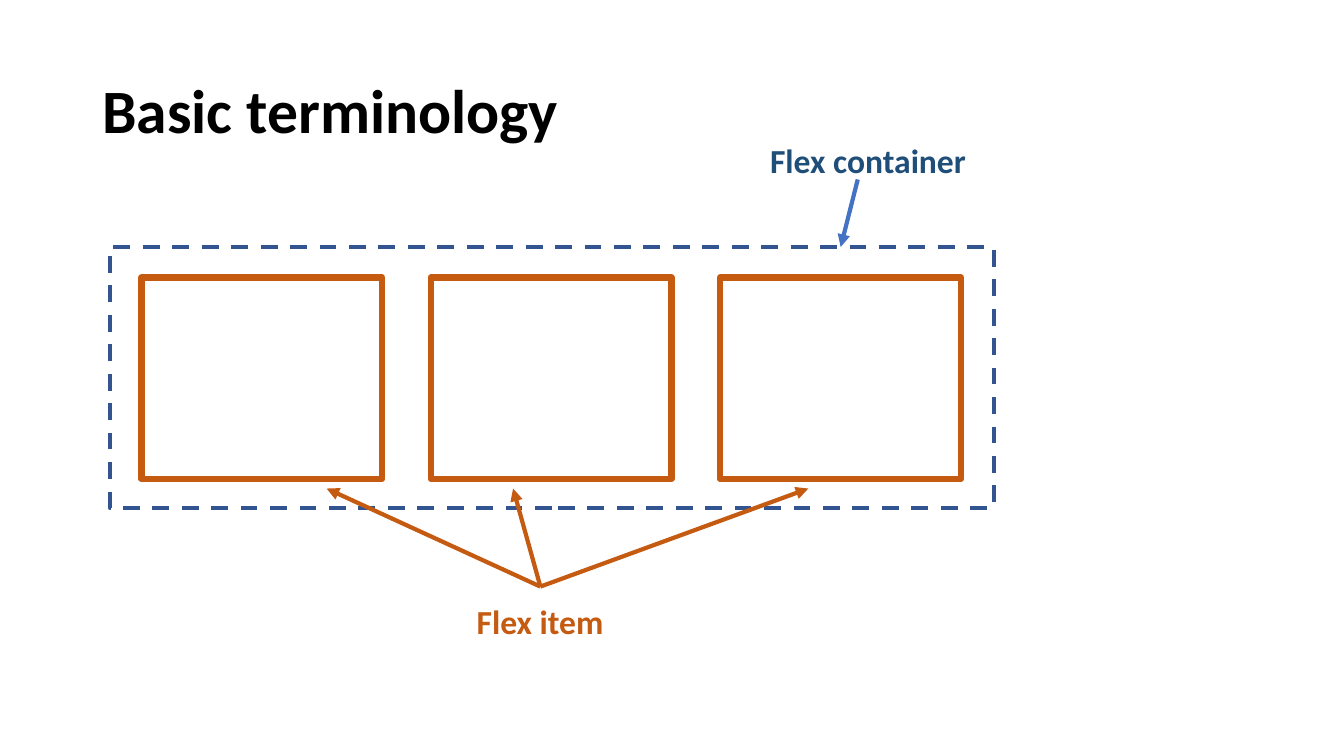
import dataclasses
from typing import Any, Optional

import lxml.etree
import pptx
import pptx.dml.color
import pptx.enum.dml
import pptx.enum.shapes
import pptx.enum.text
import pptx.oxml.ns
import pptx.util

Pt = pptx.util.Pt
RGBColor = pptx.dml.color.RGBColor

BLACK = RGBColor(0x00, 0x00, 0x00)
NAVY = RGBColor(0x32, 0x54, 0x91)
BLUE = RGBColor(0x44, 0x72, 0xC4)
DARK_BLUE = RGBColor(0x1F, 0x4E, 0x79)
ORANGE = RGBColor(0xC5, 0x5A, 0x11)


@dataclasses.dataclass
class Box:
    left: float
    top: float
    width: float
    height: float
    color: RGBColor
    weight: float
    dash: Optional[pptx.enum.dml.MSO_LINE] = None


@dataclasses.dataclass
class Arrow:
    start: tuple[float, float]
    end: tuple[float, float]
    color: RGBColor


@dataclasses.dataclass
class Label:
    text: str
    left: float
    top: float
    width: float
    color: RGBColor


def set_attrs(obj: Any, values: dict[str, Any]) -> None:
    for name, value in values.items():
        setattr(obj, name, value)


def write_text(tf: Any, text: str, size: float, color: RGBColor) -> None:
    p = tf.paragraphs[0]
    p.alignment = pptx.enum.text.PP_ALIGN.LEFT
    r = p.add_run()
    r.text = text
    set_attrs(r.font, {"name": "Calibri", "size": Pt(size), "bold": True})
    r.font.color.rgb = color


def draw_box(s: Any, box: Box) -> None:
    sp = s.shapes.add_shape(
        pptx.enum.shapes.MSO_SHAPE.RECTANGLE,
        Pt(box.left), Pt(box.top), Pt(box.width), Pt(box.height))
    sp.shadow.inherit = False
    sp.fill.background()
    sp.line.color.rgb = box.color
    set_attrs(sp.line, {"width": Pt(box.weight), "dash_style": box.dash})


def draw_arrow(s: Any, arrow: Arrow) -> None:
    cxn = s.shapes.add_connector(
        pptx.enum.shapes.MSO_CONNECTOR.STRAIGHT,
        *map(Pt, arrow.start + arrow.end))
    cxn.line.color.rgb = arrow.color
    cxn.line.width = Pt(3)
    qn = pptx.oxml.ns.qn
    lxml.etree.SubElement(cxn.line._get_or_add_ln(), qn("a:tailEnd"), type="triangle")
    lxml.etree.SubElement(cxn._element.spPr, qn("a:effectLst"))


def draw_label(s: Any, label: Label) -> None:
    sp = s.shapes.add_textbox(
        Pt(label.left), Pt(label.top), Pt(label.width), Pt(36))
    set_attrs(sp.text_frame, {
        "word_wrap": False,
        "auto_size": pptx.enum.text.MSO_AUTO_SIZE.SHAPE_TO_FIT_TEXT,
    })
    write_text(sp.text_frame, label.text, 24, label.color)


prs = pptx.Presentation()
set_attrs(prs, {"slide_width": Pt(960), "slide_height": Pt(540)})
s = prs.slides.add_slide(prs.slide_layouts[5])

title = s.shapes.title
set_attrs(title, {"left": Pt(66), "top": Pt(28.8),
                  "width": Pt(828), "height": Pt(104.4)})
title.text_frame.vertical_anchor = pptx.enum.text.MSO_ANCHOR.MIDDLE
write_text(title.text_frame, "Basic terminology", 44, BLACK)
title.text_frame.paragraphs[0].line_spacing = 0.9

container = Box(78.5, 176.4, 631.5, 186.5, NAVY, 3, pptx.enum.dml.MSO_LINE.DASH)
items = [Box(101 + 206.7 * i, 198.2, 172, 144, ORANGE, 4.5) for i in range(3)]
for box in [container, *items]:
    draw_box(s, box)

item_origin = (386, 419)
arrows = [Arrow((612.7, 128.2), (600.5, 176.4), BLUE)]
arrows += [Arrow(item_origin, (x, 349), ORANGE) for x in (233.3, 366.5, 577.4)]
for arrow in arrows:
    draw_arrow(s, arrow)

for label in (Label("Flex container", 543, 96.5, 155.5, DARK_BLUE),
              Label("Flex item", 333.4, 425.5, 105.8, ORANGE)):
    draw_label(s, label)

prs.save("out.pptx")
